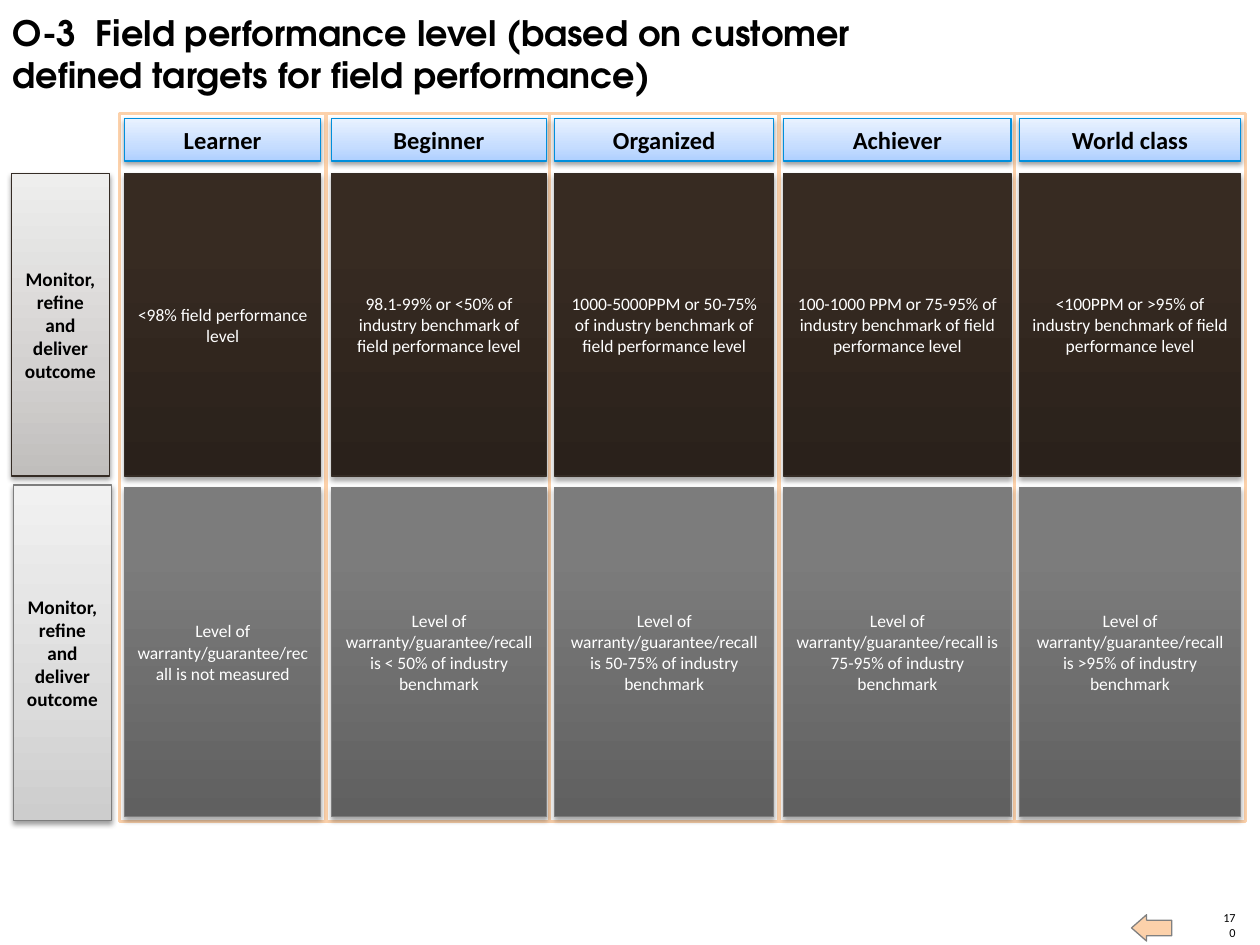
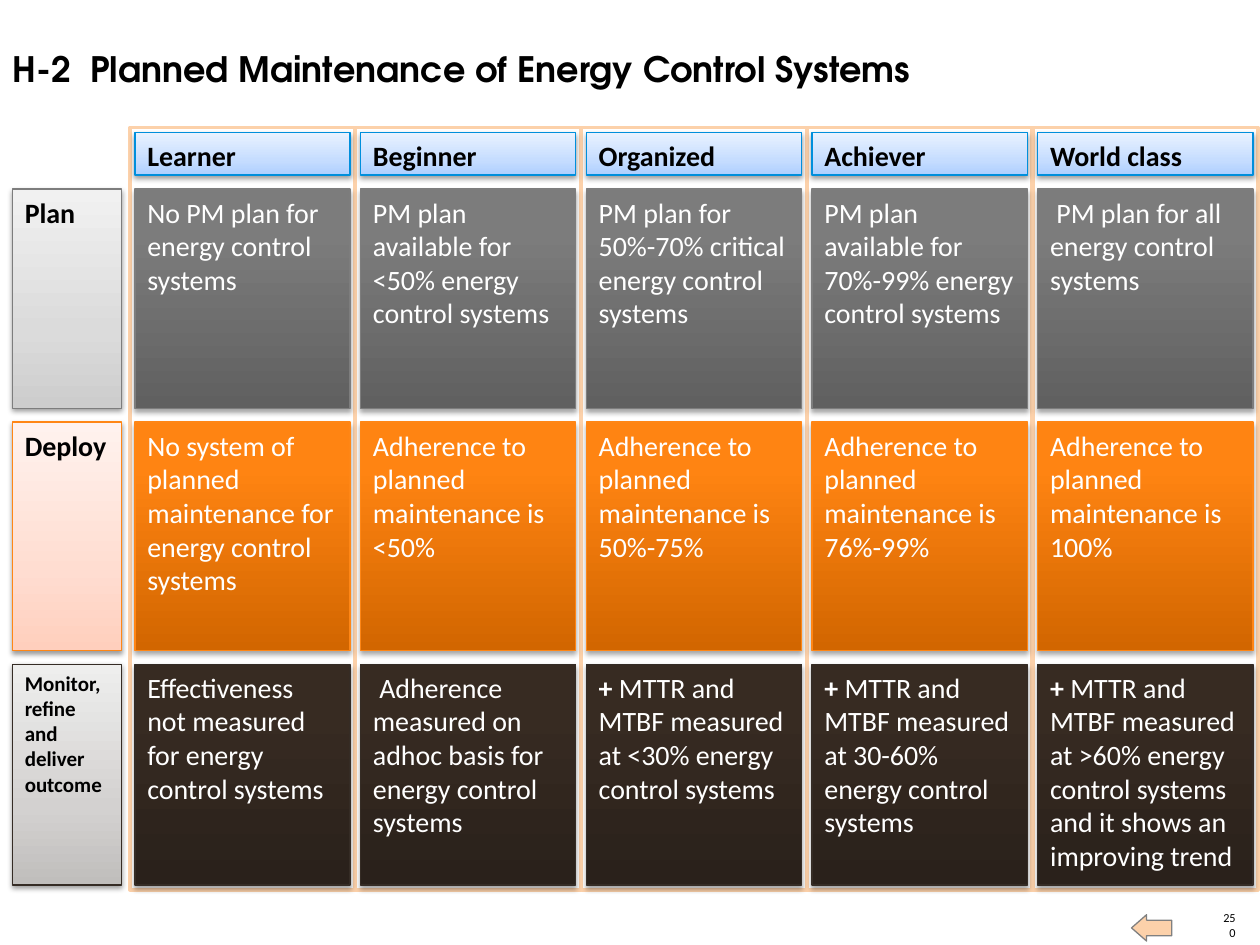
from lxml import etree
from pptx import Presentation
from pptx.dml.color import RGBColor
from pptx.enum import shapes, text
from pptx.oxml import ns
from pptx.util import Cm, Pt

BODY_FONT = "Calibri"
TITLE_FONT = "TeX Gyre Adventor"
BLACK, WHITE, PEACH, GREY = "000000", "FFFFFF", "FCD1AA", "808080"
LEVELS = ["Learner", "Beginner", "Organized", "Achiever", "World class"]
OUTCOME = "Monitor, refine and deliver outcome"
FRAME_MARGIN = 0.1

# Gradient stops run from bottom to top at the given positions
PALE_STOPS, DEEP_STOPS = (0, 35, 100), (0, 80, 100)
HEADER = (["AECFFF", "C6DDFF", "E9F2FF"], "008FDC")
# Each theme: label gradient, cell gradient, line colour
THEMES = {
    "grey": (["CDCDCD", "DBDBDB", "F1F1F1"], ["606060", "7C7C7C", "7D7D7D"], "7D7D7D"),
    "orange": (["FFCFBD", "FFDDD1", "FFF2EE"], ["D26600", "FF8412", "FF8514"], "FF8615"),
    "brown": (["C0BEBC", "D3D1D0", "EEEEED"], ["2A211B", "372B22", "372B22"], "352C25"),
}


def colour(value):
    return RGBColor.from_string(value)


class MaturityDeck:
    def __init__(self):
        self.presentation = Presentation()
        self.presentation.slide_width = Cm(25.4)
        self.presentation.slide_height = Cm(19.05)
        self.slide = None
        self.align = None
        self.anchor = None

    def new_slide(self, title, title_box, page, centred):
        self.slide = self.presentation.slides.add_slide(self.presentation.slide_layouts[5])
        self.align = text.PP_ALIGN.CENTER if centred else text.PP_ALIGN.LEFT
        self.anchor = text.MSO_ANCHOR.MIDDLE if centred else text.MSO_ANCHOR.TOP
        self.title(title, title_box)
        self.footer(page)

    def add_text(self, shape, runs, size, ink, align, anchor, font=BODY_FONT):
        """Add one paragraph of (wording, bold) runs."""
        frame = shape.text_frame
        frame.word_wrap = True
        frame.auto_size = text.MSO_AUTO_SIZE.NONE
        frame.vertical_anchor = anchor
        paragraph = frame.paragraphs[0]
        paragraph.alignment = align
        for wording, bold in runs:
            run = paragraph.add_run()
            run.text = wording
            run.font.name = font
            run.font.size = Pt(size)
            run.font.bold = bold
            run.font.color.rgb = colour(ink)

    def title(self, wording, box):
        shape = self.slide.shapes.title
        shape.left, shape.top, shape.width, shape.height = map(Cm, box)
        self.add_text(shape, [(wording, True)], 20, BLACK, text.PP_ALIGN.LEFT,
                      text.MSO_ANCHOR.TOP, TITLE_FONT)

    def footer(self, page):
        number = self.slide.shapes.add_textbox(Cm(24.61), Cm(18.64), Cm(0.3), Cm(0.3))
        frame = number.text_frame
        frame.margin_left = frame.margin_right = frame.margin_top = frame.margin_bottom = 0
        self.add_text(number, [(page, False)], 7, BLACK, text.PP_ALIGN.RIGHT,
                      text.MSO_ANCHOR.BOTTOM)
        arrow = self.box((22.81, 18.44, 0.81, 0.53), PEACH, GREY, 0.75,
                         shapes.MSO_SHAPE.RIGHT_ARROW)
        arrow.rotation = 180
        arrow.adjustments[0], arrow.adjustments[1] = 0.59, 0.57

    def box(self, place, fill, line, weight, kind=shapes.MSO_SHAPE.RECTANGLE):
        shape = self.slide.shapes.add_shape(kind, *map(Cm, place))
        shape.shadow.inherit = False
        if fill:
            shape.fill.solid()
            shape.fill.fore_color.rgb = colour(fill)
        shape.line.color.rgb = colour(line)
        shape.line.width = Pt(weight)
        return shape

    def panel(self, place, gradient, stops, line, runs, size, ink, shadow):
        """Draw a gradient rectangle with a soft shadow below and text inside."""
        shape = self.box(place, None, line, 0.75)
        shape.fill.gradient()
        shape.fill.gradient_angle = 90
        properties = shape.element.spPr
        stop_list = properties.find(".//" + ns.qn("a:gsLst"))
        for old_stop in list(stop_list):
            stop_list.remove(old_stop)
        for position, value in zip(stops, gradient):
            stop = etree.SubElement(stop_list, ns.qn("a:gs"), pos=str(position * 1000))
            etree.SubElement(stop, ns.qn("a:srgbClr"), val=value)
        opacity, distance = shadow
        outer = etree.SubElement(properties.find(ns.qn("a:effectLst")), ns.qn("a:outerShdw"),
                                 blurRad=str(int(Pt(3.1))), dist=str(int(Pt(distance))),
                                 dir="5400000", rotWithShape="0")
        shade = etree.SubElement(outer, ns.qn("a:srgbClr"), val=BLACK)
        etree.SubElement(shade, ns.qn("a:alpha"), val=str(opacity * 1000))
        self.add_text(shape, runs, size, ink, self.align, self.anchor)

    def pale_panel(self, place, gradient, line, wording, size):
        self.panel(place, gradient, PALE_STOPS, line, [(wording, True)], size, BLACK, (38, 1.6))

    def matrix(self, columns, header_top, header_size, cell_size, rows):
        """Draw the level columns; a row is theme, top, height, label and cells."""
        # Column frames
        frame_top = header_top - FRAME_MARGIN
        frame_bottom = rows[-1]["top"] + rows[-1]["height"] + FRAME_MARGIN
        for left, width in columns:
            self.box((left - FRAME_MARGIN, frame_top, width + 2 * FRAME_MARGIN,
                      frame_bottom - frame_top), WHITE, PEACH, 2)
        # Level headers
        for (left, width), level in zip(columns, LEVELS):
            self.pale_panel((left, header_top, width, 0.86), *HEADER, level, header_size)
        # Row labels and cells
        for row in rows:
            label_fill, cell_fill, line = THEMES[row["theme"]]
            self.pale_panel(row["label_box"], label_fill, line, row["label"], row["label_size"])
            for (left, width), cell in zip(columns, row["cells"]):
                runs = [(cell, False)]
                if cell.startswith("+ "):
                    runs = [("+ ", True), (cell[2:], False)]
                self.panel((left, row["top"], width, row["height"]), cell_fill, DEEP_STOPS,
                           line, runs, cell_size, WHITE, (35, 1.8))


def matrix_row(theme, top, height, label, label_size, label_box, cells):
    return dict(theme=theme, top=top, height=height, label=label,
                label_size=label_size, label_box=label_box, cells=cells)


def field_performance(deck):
    deck.new_slide("O-3  Field performance level (based on customer defined targets "
                   "for field performance)", (0, 0.1, 18.54, 1.96), "170", centred=True)
    columns = [(2.51, 3.96), (6.68, 4.34), (11.18, 4.42), (15.8, 4.58), (20.55, 4.46)]
    benchmark = "of industry benchmark of field performance level"
    warranty = "Level of warranty/guarantee/recall is"
    performance_cells = ["<98% field performance level"] + [
        f"{level} {benchmark}" for level in
        ("98.1-99% or <50%", "1000-5000PPM or 50-75%", "100-1000 PPM or 75-95%",
         "<100PPM or >95%")]
    warranty_cells = [f"{warranty} not measured"] + [
        f"{warranty} {share} of industry benchmark" for share in
        ("< 50%", "50-75%", "75-95%", ">95%")]
    deck.matrix(columns, 2.39, 14, 10, [
        matrix_row("brown", 3.5, 6.1, OUTCOME, 11, (0.23, 3.5, 1.98, 6.1), performance_cells),
        matrix_row("grey", 9.83, 6.63, OUTCOME, 11, (0.27, 9.78, 1.98, 6.76), warranty_cells),
    ])


def energy_control(deck):
    deck.new_slide("H-2  Planned Maintenance of Energy Control Systems",
                   (0, 0.84, 21.84, 1.12), "250", centred=False)
    columns = [(2.72 + 4.55 * index, 4.34) for index in range(5)]
    systems = "energy control systems"
    adherence = "Adherence to planned maintenance is"
    measured = "+ MTTR and MTBF measured at"
    plan_cells = [f"{plan} {systems}" for plan in
                  ("No PM plan for", "PM plan available for <50%",
                   "PM plan for 50%-70% critical", "PM plan available for 70%-99%",
                   " PM plan for all")]
    # The outer lines of the <50% plan read "energy" and "control systems"
    deploy_cells = [f"No system of planned maintenance for {systems}"] + [
        f"{adherence} {share}" for share in ("<50%", "50%-75%", "76%-99%", "100%")]
    outcome_cells = [
        f"Effectiveness not measured for {systems}",
        f" Adherence measured on adhoc basis for {systems}",
        f"{measured} <30% {systems}",
        f"{measured} 30-60% {systems}",
        f"{measured} >60% {systems} and it shows an improving trend",
    ]
    bands = [("grey", 3.81, 4.42, "Plan", 16, plan_cells),
             ("orange", 8.51, 4.6, "Deploy", 16, deploy_cells),
             ("brown", 13.39, 4.45, OUTCOME, 12, outcome_cells)]
    deck.matrix(columns, 2.67, 16, 16, [
        matrix_row(theme, top, height, label, size, (0.25, top, 2.2, height), cells)
        for theme, top, height, label, size, cells in bands])


def main():
    deck = MaturityDeck()
    field_performance(deck)
    energy_control(deck)
    deck.presentation.save("out.pptx")


if __name__ == "__main__":
    main()
